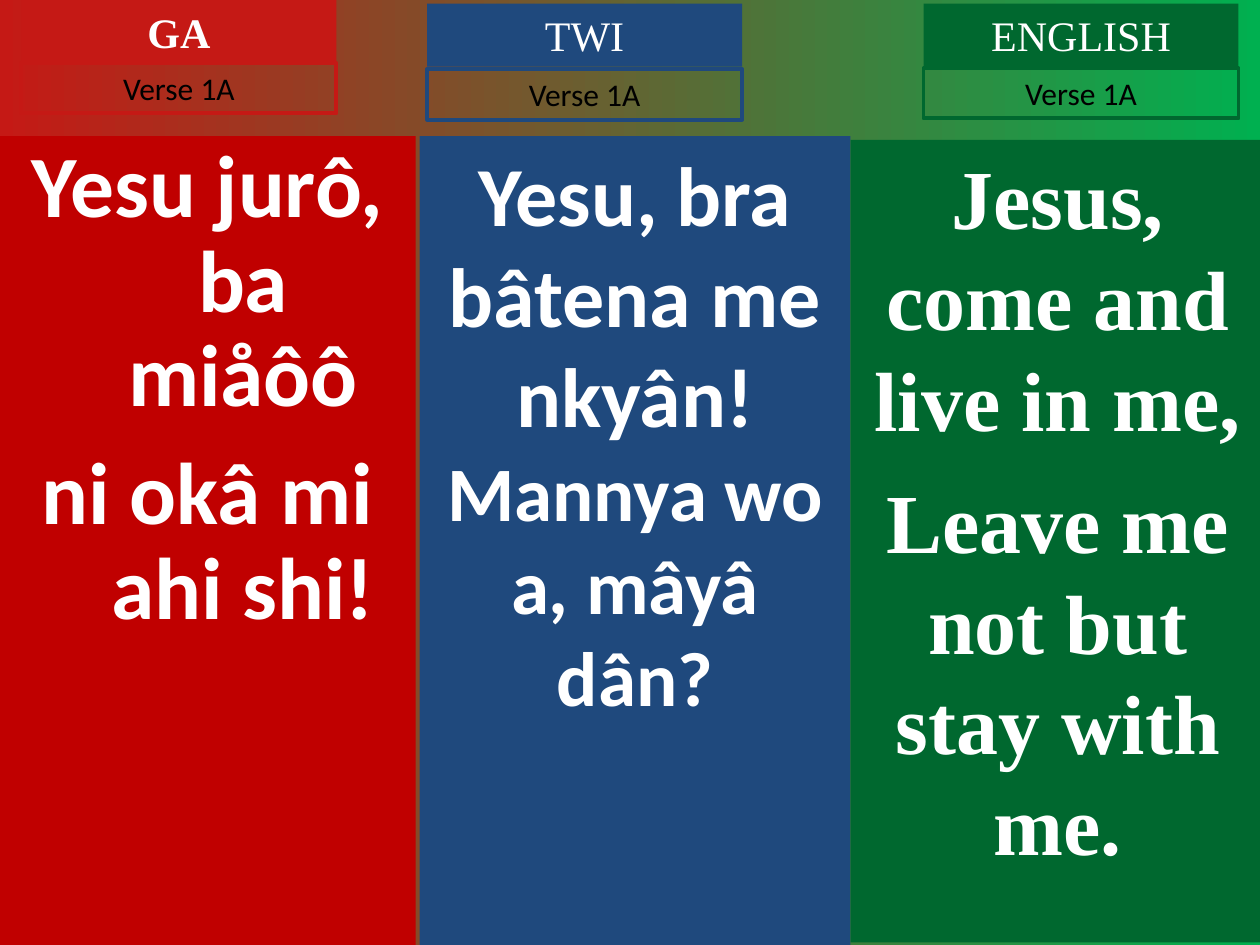
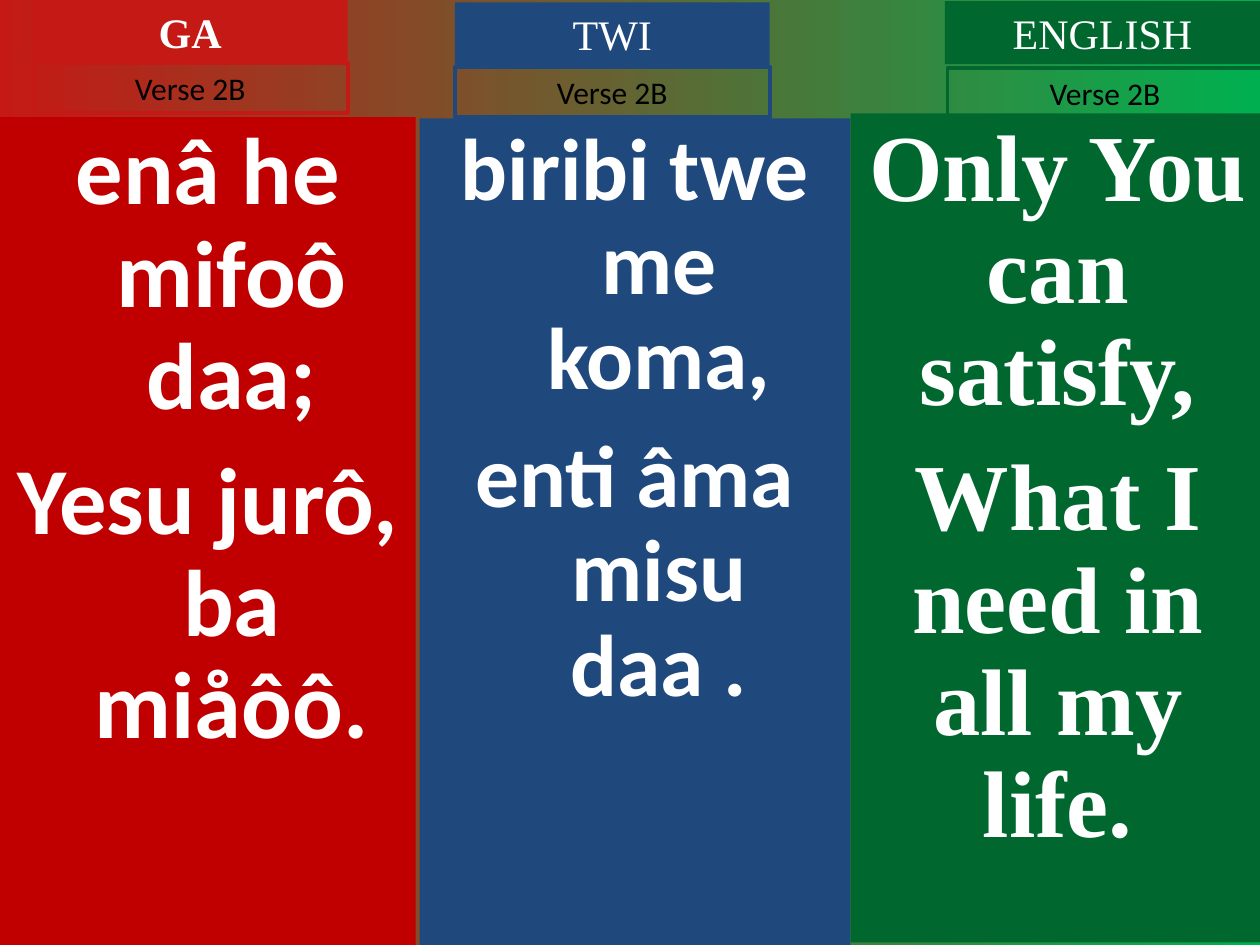
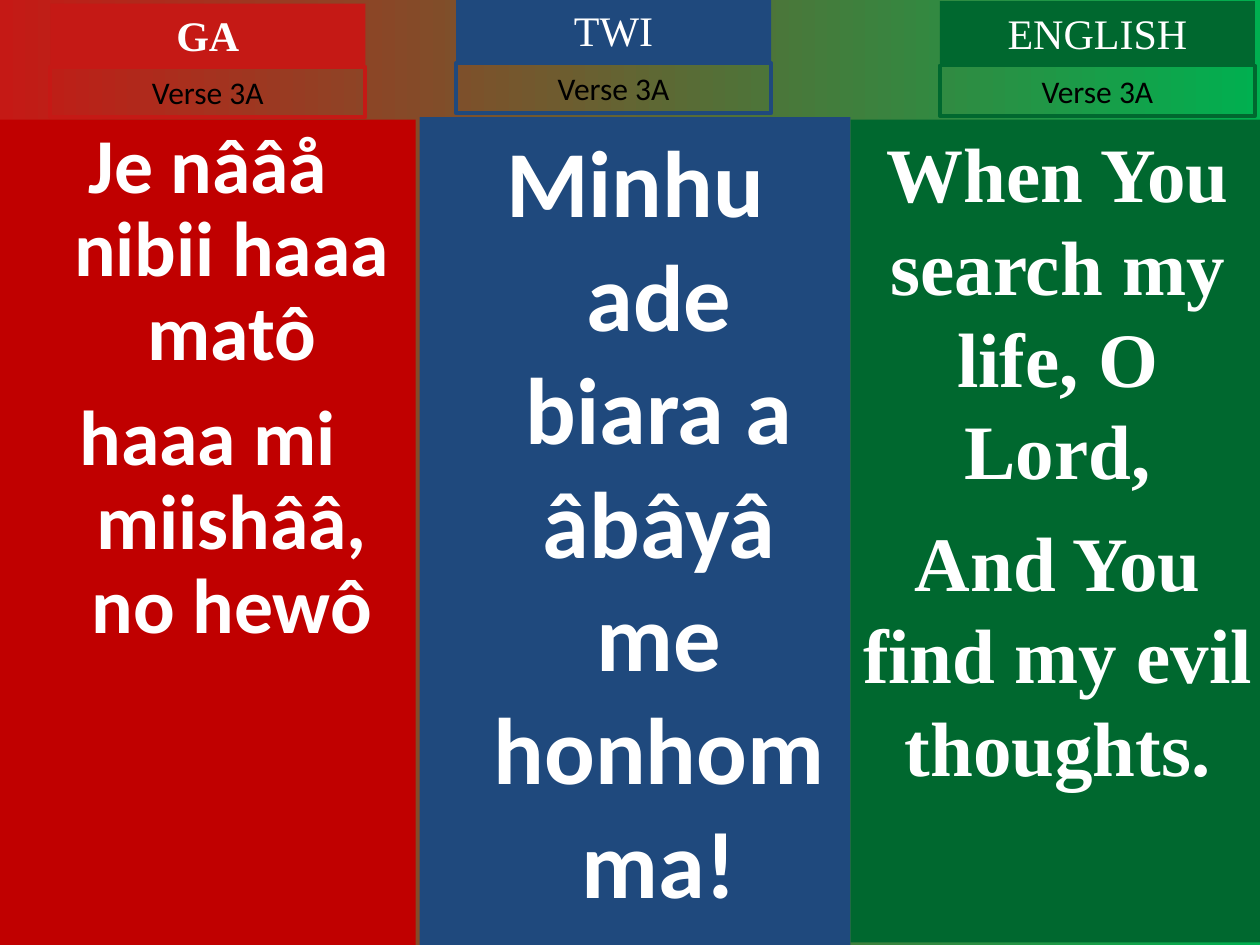
from pptx import Presentation
from pptx.dml.color import RGBColor
from pptx.enum.shapes import MSO_SHAPE as SHAPE
from pptx.enum.text import MSO_ANCHOR as ANCHOR, MSO_AUTO_SIZE as AUTO, PP_ALIGN as ALIGN
from pptx.util import Pt

PX = 9144
RED = RGBColor(0xC5, 0x19, 0x15)
DARK_RED = RGBColor(0xC0, 0x00, 0x00)
BLUE = RGBColor(0x1F, 0x49, 0x7D)
GREEN = RGBColor(0x00, 0x68, 0x2F)
BRIGHT_GREEN = RGBColor(0x00, 0xB0, 0x50)
WHITE = RGBColor(0xFF, 0xFF, 0xFF)
BLACK = RGBColor(0x00, 0x00, 0x00)
SANS, SERIF = "Calibri", "Times New Roman"

LANGUAGES = [
    ("GA", RED, DARK_RED, SANS, True, 0, 330, 750),
    ("TWI", BLUE, BLUE, SANS, False, 333, 342, 750),
    ("ENGLISH", GREEN, GREEN, SERIF, False, 675, 329, 748),
]

VERSES = [
    ("Verse 1A", [
        (108, (17, 0), (17, 50), 56, 0.9, 13.5,
         [[("Yesu jurô, ba miåôô", 50)], [("ni okâ mi ahi shi!", 50)]]),
        (108, (339, 3), (339, 55), 0, 1.0, 11,
         [[("Yesu, bra bâtena me nkyân! ", 48), ("Mannya wo a, mâyâ dân?", 44)]]),
        (111, (733, 3), (733, 54), 0, 1.0, 12,
         [[("Jesus, come and live in me,", 48)], [("Leave me not but stay with me.", 48)]]),
    ]),
    ("Verse 2B", [
        (93, (26, 0), (26, 50), 38, 0.9, 13.5,
         [[("enâ he mifoô daa;", 54)], [("Yesu jurô, ba miåôô.", 54)]]),
        (94, (361, 2), (361, 53), 38, 0.9, 13.5,
         [[("biribi twe me koma,", 50)], [("enti âma misu daa .", 50)]]),
        (90, (750, 1), (752, 54), 0, 0.9, 13.5,
         [[("Only You can satisfy,", 54)], [("What I need in all my life.", 54)]]),
    ]),
    ("Verse 3A", [
        (95, (40, 3), (40, 53), 38, 0.9, 12,
         [[("Je nââå nibii haaa matô", 44.4)], [("haaa mi miishââ, no hewô", 44.4)]]),
        (93, (362, -1), (362, 50), 38, 1.0, 13.5,
         [[("Minhu ade biara a âbâyâ me honhom ma!", 54)]]),
        (95, (746, 1), (746, 52), 0, 1.0, 11,
         [[("When You search my life, O Lord,", 44)], [("And You find my evil thoughts.", 44)]]),
    ]),
]


def add_box(slide, left, top, width, height, fill=None, line=None):
    box = slide.shapes.add_shape(SHAPE.RECTANGLE, left * PX, top * PX, width * PX, height * PX)
    box.shadow.inherit = False
    if fill is None:
        box.fill.background()
    else:
        box.fill.solid()
        box.fill.fore_color.rgb = fill
    if line is None:
        box.line.fill.background()
    else:
        box.line.color.rgb = line
        box.line.width = Pt(2.25)
    box.text_frame.word_wrap = True
    box.text_frame.vertical_anchor = ANCHOR.TOP
    return box.text_frame


def add_run(paragraph, text, font, size, color, bold=False):
    paragraph.alignment = ALIGN.CENTER
    run = paragraph.add_run()
    run.text = text
    run.font.name = font
    run.font.size = Pt(size)
    run.font.color.rgb = color
    run.font.bold = bold


prs = Presentation()
prs.slide_width = 1000 * PX
prs.slide_height = 750 * PX

for verse_name, columns in VERSES:
    slide = prs.slides.add_slide(prs.slide_layouts[6])
    backdrop = slide.background.fill
    backdrop.gradient()
    backdrop.gradient_angle = 0
    for stop, position, color in zip(backdrop.gradient_stops, (0, 1), (RED, BRIGHT_GREEN)):
        stop.position = position
        stop.color.rgb = color

    for language, column in zip(LANGUAGES, columns):
        name, accent, panel_color, font, bold_name, left, width, bottom = language
        top, name_at, verse_at, hang, spacing, gap, lyrics = column

        panel = add_box(slide, left, top, width, bottom - top, fill=panel_color)
        for index, lyric in enumerate(lyrics):
            paragraph = panel.add_paragraph() if index else panel.paragraphs[0]
            paragraph.line_spacing = spacing
            if index:
                paragraph.space_before = Pt(gap)
            if hang:
                indents = paragraph._p.get_or_add_pPr()
                indents.set("marL", str(hang * PX))
                indents.set("indent", str(-hang * PX))
            for text, size in lyric:
                add_run(paragraph, text, font, size, WHITE, True)

        heading = add_box(slide, *name_at, 250, 50, fill=accent)
        heading.auto_size = AUTO.SHAPE_TO_FIT_TEXT
        add_run(heading.paragraphs[0], name, SERIF, 24, WHITE, bold_name)

        verse = add_box(slide, *verse_at, 250, 40, line=accent)
        verse.auto_size = AUTO.SHAPE_TO_FIT_TEXT
        add_run(verse.paragraphs[0], verse_name, SANS, 18, BLACK)

prs.save("out.pptx")
